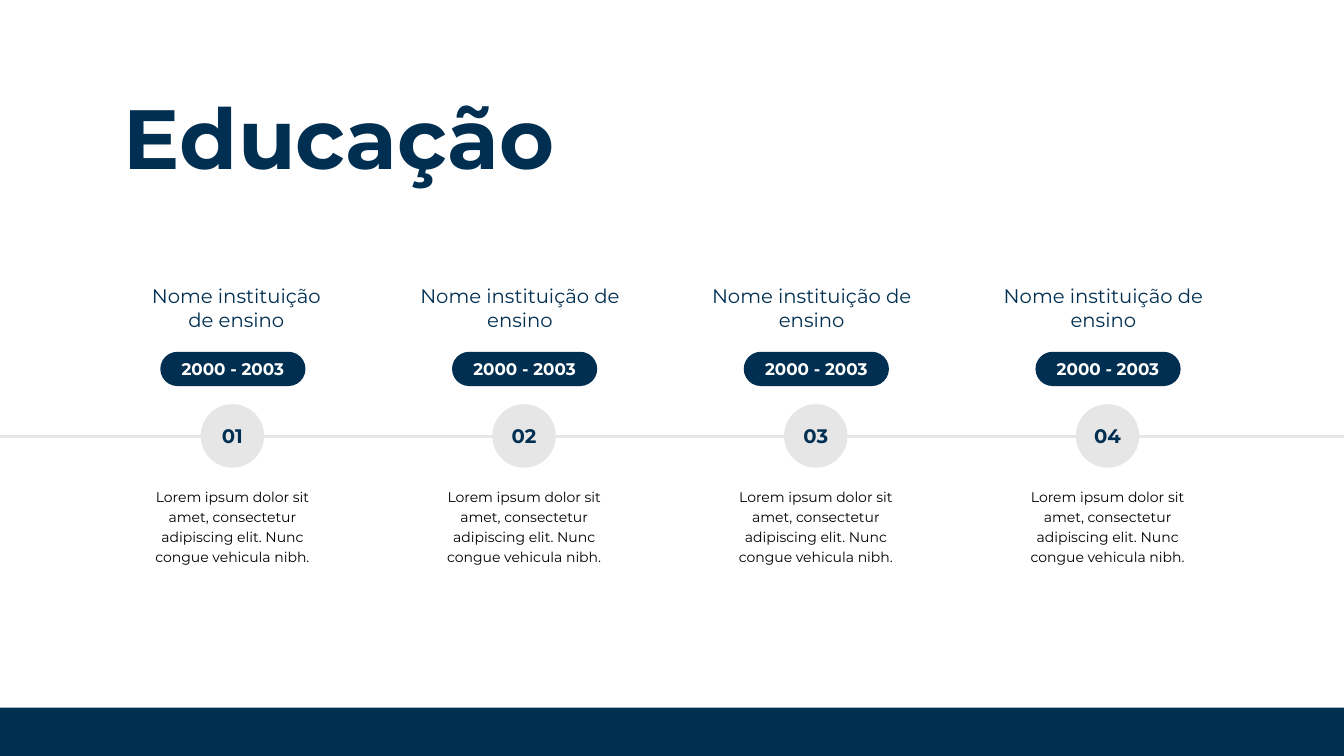
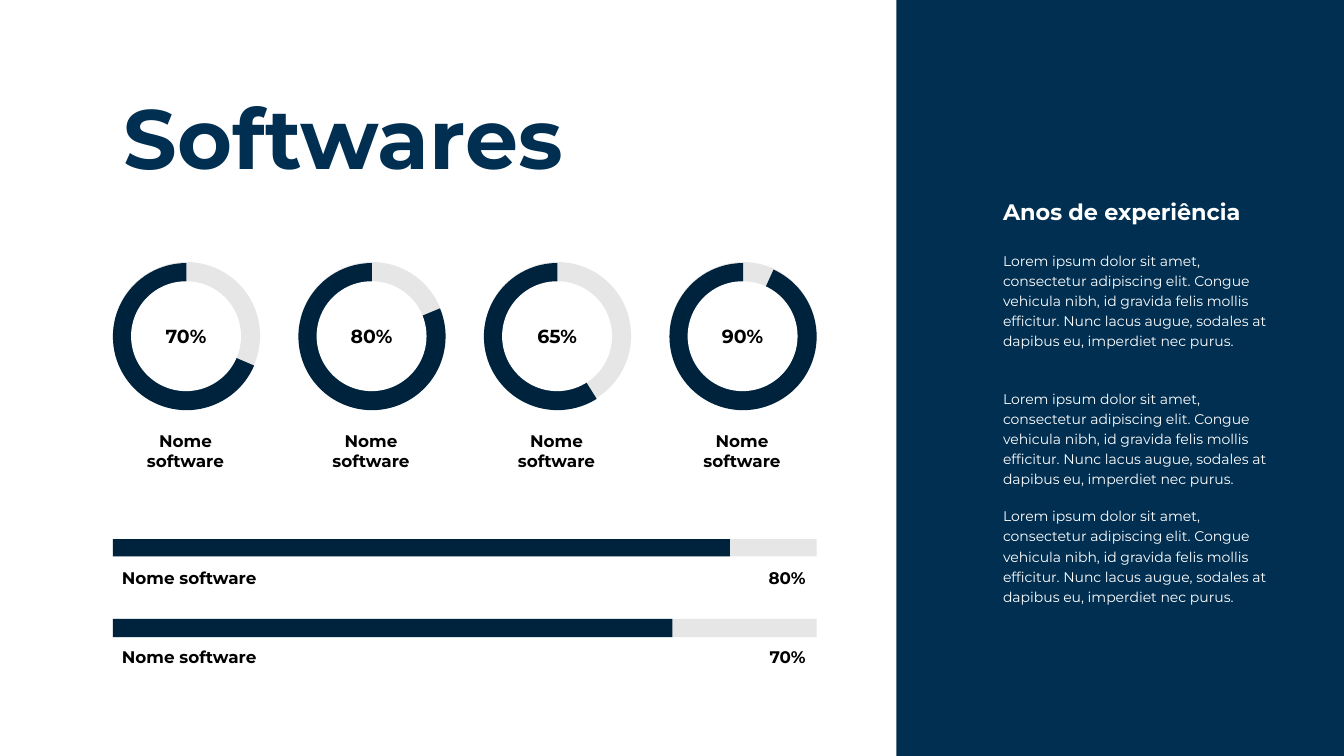
from lxml.etree import SubElement
from pptx import Presentation
from pptx.dml.color import RGBColor
from pptx.enum.shapes import MSO_CONNECTOR, MSO_SHAPE as SHAPE
from pptx.enum.text import MSO_ANCHOR as ANCHOR, PP_ALIGN as ALIGN
from pptx.oxml.ns import qn
from pptx.util import Inches, Pt

FONT = "Montserrat"
NAVY, DARK, GREY = "002F51", "00233D", "E7E6E6"
WHITE, BLACK = "FFFFFF", "000000"
WIDTH, HEIGHT = 13.33, 7.5


def rgb(value):
    return RGBColor.from_string(value)


class Deck:
    """Holds the shared style and the current slide."""

    def __init__(self):
        self.prs = Presentation()
        self.prs.slide_width = Inches(WIDTH)
        self.prs.slide_height = Inches(HEIGHT)
        self.slide = None

    def new_slide(self, title):
        self.slide = self.prs.slides.add_slide(self.prs.slide_layouts[6])
        self.text(1.13, 0.83, 7.75, 1.08, [title], 60, NAVY, bold=True, spacing=Pt(70))

    def fill_text(self, tf, paragraphs, size, color, bold=False, align=ALIGN.LEFT,
                  anchor=ANCHOR.TOP, spacing=None, gaps=(), wrap=True):
        tf.word_wrap = wrap
        tf.vertical_anchor = anchor
        for i, content in enumerate(paragraphs):
            p = tf.add_paragraph() if i else tf.paragraphs[0]
            p.alignment = align
            if spacing:
                p.line_spacing = spacing
            if i < len(gaps):
                p.space_after = Pt(gaps[i])
            r = p.add_run()
            r.text = content
            r.font.name = FONT
            r.font.size = Pt(size)
            r.font.bold = bold
            r.font.color.rgb = rgb(color)

    def text(self, x, y, w, h, paragraphs, size, color, **style):
        box = self.slide.shapes.add_textbox(Inches(x), Inches(y), Inches(w), Inches(h))
        self.fill_text(box.text_frame, paragraphs, size, color, **style)

    def shape(self, kind, x, y, w, h, fill, adjustments=()):
        sp = self.slide.shapes.add_shape(kind, Inches(x), Inches(y), Inches(w), Inches(h))
        sp.shadow.inherit = False
        sp.fill.solid()
        sp.fill.fore_color.rgb = rgb(fill)
        sp.line.fill.background()
        for i, value in enumerate(adjustments):
            sp.adjustments[i] = value
        return sp

    def badge(self, kind, x, y, w, h, fill, label, size, color, wrap=True, adjustments=()):
        sp = self.shape(kind, x, y, w, h, fill, adjustments)
        self.fill_text(sp.text_frame, [label], size, color, bold=True,
                       align=ALIGN.CENTER, anchor=ANCHOR.MIDDLE, wrap=wrap)

    def line(self, x1, y1, x2, y2, color, width):
        cn = self.slide.shapes.add_connector(
            MSO_CONNECTOR.STRAIGHT, Inches(x1), Inches(y1), Inches(x2), Inches(y2))
        cn.line.color.rgb = rgb(color)
        cn.line.width = Pt(width)
        SubElement(cn._element.spPr, qn("a:effectLst"))

    def milestone(self, x, number, name_offset, name_width):
        self.badge(SHAPE.OVAL, x, 4.01, 0.63, 0.63, GREY, number, 14, NAVY, wrap=False)
        self.badge(SHAPE.ROUNDED_RECTANGLE, x - 0.4, 3.49, 1.44, 0.34, NAVY,
                   "2000 - 2003", 12, WHITE, adjustments=[0.5])
        self.text(x + name_offset, 2.77, name_width, 0.57,
                  ["Nome instituição de ensino"], 14, NAVY, align=ALIGN.CENTER)
        self.text(x - 0.76, 4.76, 2.15, 0.94,
                  ["Lorem ipsum dolor sit amet, consectetur adipiscing elit. "
                   "Nunc congue vehicula nibh."],
                  10, BLACK, align=ALIGN.CENTER, spacing=1.2)

    def ring(self, x, percent, start_angle):
        self.shape(SHAPE.OVAL, x, 2.6, 1.46, 1.46, GREY)
        self.shape(SHAPE.PIE, x, 2.61, 1.46, 1.46, DARK,
                   [angle * 0.6 for angle in (start_angle, 270)])
        self.badge(SHAPE.OVAL, x + 0.18, 2.79, 1.09, 1.09, WHITE, percent, 13.5, BLACK)
        self.text(x - 0.01, 4.22, 1.46, 0.5, ["Nome software"], 12, BLACK,
                  bold=True, align=ALIGN.CENTER)

    def progress(self, y, h, filled, percent):
        self.text(1.11, y + 0.23, 2.45, 0.3, ["Nome software"], 12, BLACK, bold=True)
        self.text(7.35, y + 0.23, 0.74, 0.3, [percent], 12, BLACK,
                  bold=True, align=ALIGN.RIGHT)
        for width, color in ((6.98, GREY), (filled, DARK)):
            self.shape(SHAPE.RECTANGLE, 1.12, y, width, h, color)


def education(deck):
    deck.new_slide("Educação")
    deck.shape(SHAPE.RECTANGLE, 0, 7.02, WIDTH, 0.48, NAVY)
    deck.line(0, 4.33, WIDTH, 4.33, GREY, 1.5)
    first, last = 1.99, 10.67
    for i in range(4):
        offset, width = (-0.84, 2.23) if i else (-0.6, 1.91)
        deck.milestone(first + i * (last - first) / 3, f"{i + 1:02}", offset, width)


def software(deck):
    deck.new_slide("Softwares")
    deck.shape(SHAPE.RECTANGLE, 8.89, 0, WIDTH - 8.89, HEIGHT, NAVY)
    rings = [("70%", 23.19), ("80%", 337.43), ("65%", 57.8), ("90%", 294.45)]
    for i, (percent, start_angle) in enumerate(rings):
        deck.ring(1.12 + i * 1.84, percent, start_angle)
    deck.progress(5.35, 0.17, 6.12, "80%")
    deck.progress(6.14, 0.18, 5.55, "70%")
    deck.text(9.85, 1.91, 2.66, 0.37, ["Anos de experiência"], 16, WHITE,
              bold=True, anchor=ANCHOR.MIDDLE)
    experience = ("Lorem ipsum dolor sit amet, consectetur adipiscing elit. Congue vehicula "
                  "nibh, id gravida felis mollis efficitur. Nunc lacus augue, sodales at "
                  "dapibus eu, imperdiet nec purus.")
    deck.text(9.85, 2.42, 2.9, 3.7, [experience] * 3, 10, WHITE,
              spacing=1.2, gaps=(26.6, 12))


def main():
    deck = Deck()
    education(deck)
    software(deck)
    deck.prs.save("out.pptx")


if __name__ == "__main__":
    main()
